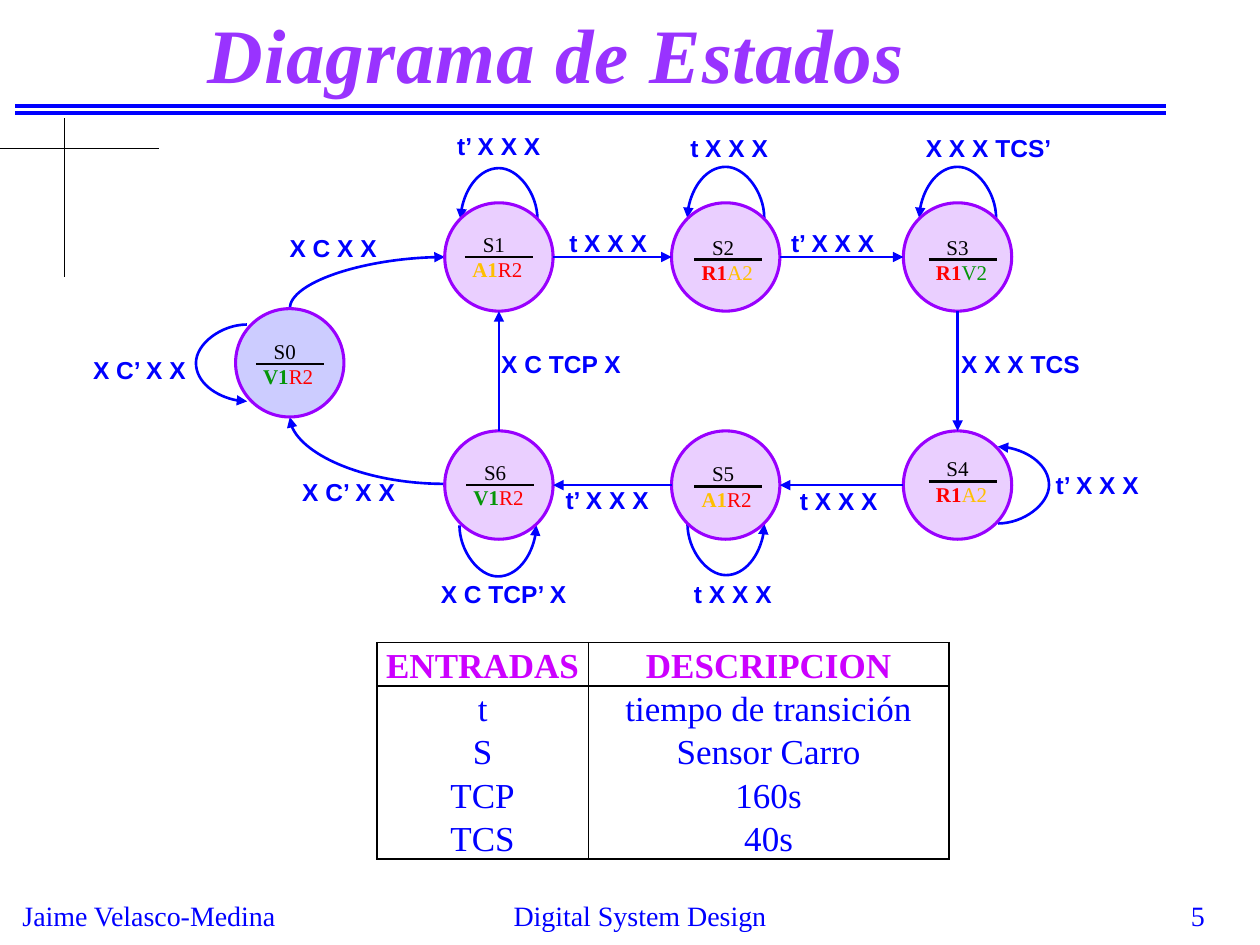
from lxml import etree
from pptx import Presentation
from pptx.dml.color import RGBColor
from pptx.enum.shapes import MSO_CONNECTOR, MSO_SHAPE
from pptx.enum.text import MSO_ANCHOR, PP_ALIGN
from pptx.oxml.ns import qn
from pptx.util import Emu, Inches, Pt

STRAIGHT, CURVE = MSO_CONNECTOR.STRAIGHT, MSO_CONNECTOR.CURVE
LEFT, CENTER, RIGHT = PP_ALIGN.LEFT, PP_ALIGN.CENTER, PP_ALIGN.RIGHT
SERIF, SANS = "Times New Roman", "Arial"
BLUE, BLACK, PURPLE = "0000FF", "000000", "9900FF"
LILAC, LAVENDER = "EACFFF", "CCCCFF"
LIGHT_COLORS = {"A": "FFC000", "R": "FF0000", "V": "059508"}

# Content: states as name, lights, circle centre, divider left and height, fill
DIAMETER = 0.86
COLUMNS, TOP_ROW, BOTTOM_ROW = (3.96, 5.76, 7.6), 2.04, 3.85
STATES = [
    ("S0", ("V1", "R2"), (2.3, 2.88), (2.03, 2.89), LAVENDER),
    ("S1", ("A1", "R2"), (COLUMNS[0], TOP_ROW), (3.69, 2.04), LILAC),
    ("S2", ("R1", "A2"), (COLUMNS[1], TOP_ROW), (5.51, 2.06), LILAC),
    ("S3", ("R1", "V2"), (COLUMNS[2], TOP_ROW), (7.37, 2.06), LILAC),
    ("S4", ("R1", "A2"), (COLUMNS[2], BOTTOM_ROW), (7.37, 3.82), LILAC),
    ("S5", ("A1", "R2"), (COLUMNS[1], BOTTOM_ROW), (5.51, 3.86), LILAC),
    ("S6", ("V1", "R2"), (COLUMNS[0], BOTTOM_ROW), (3.7, 3.85), LILAC),
]
TRANSITIONS = [("S1", "S2"), ("S2", "S3"), ("S3", "S4"),
               ("S4", "S5"), ("S5", "S6"), ("S6", "S1")]
# Self loops: middle of the chord, rotation
LOOP_SPAN = 0.61
LOOPS = [
    (3.96, 1.74, 270), (5.76, 1.73, 270), (7.6, 1.73, 270),
    (1.96, 2.88, 180), (7.92, 3.85, 0), (5.76, 4.16, 90), (3.95, 4.17, 90),
]
# Quarter curves: unrotated frame, rotation, flipped both ways
QUARTER_CURVES = [
    ((2.3, 3.31, 1.23, 0.53), 180, False),
    ((2.71, 1.63, 0.41, 1.23), 90, True),
]
LABELS = [
    ("X C’ X X", 0.64, 2.77, 1.18), ("X C X X", 2.2, 1.8, 1.13),
    ("t’ X X X", 3.53, 0.99, 0.92), ("t X X X", 4.42, 1.76, 0.86),
    ("t X X X", 5.38, 1.01, 0.89), ("t’ X X X", 6.18, 1.76, 0.95),
    ("X X X TCS’", 7.25, 1.01, 1.33), ("X X X TCS", 7.53, 2.72, 1.35),
    ("t’ X X X", 8.28, 3.68, 1.1), ("t X X X", 6.25, 3.81, 1.02),
    ("t X X X", 5.41, 4.55, 0.86), ("t’ X X X", 4.39, 3.8, 1),
    ("X C TCP’ X", 3.4, 4.55, 1.38), ("X C TCP X", 3.88, 2.72, 1.23),
    ("X C’ X X", 2.3, 3.74, 1.08),
]
INPUTS = [("ENTRADAS", "DESCRIPCION"), ("t", "tiempo de transición"),
          ("S", "Sensor Carro"), ("TCP", "160s"), ("TCS", "40s")]
FOOTERS = [
    ("Jaime Velasco-Medina", (0.08, 7.08, 2.25, 0.37), LEFT),
    ("Digital System Design", (3.33, 7.08, 3.5, 0.33), CENTER),
    ("5", (7.58, 7.08, 2.08, 0.25), RIGHT),
]
# Rules: start, end, colour, width
RULES = [
    ((0.12, 0.84), (9.25, 0.84), BLUE, 2.25),
    ((0.12, 0.9), (9.25, 0.9), BLUE, 2.25),
    ((0, 1.18), (1.26, 1.18), BLACK, 0.75),
    ((0.51, 0.94), (0.51, 2.2), BLACK, 0.75),
]


def rgb(color):
    return RGBColor.from_string(color)


def add_run(paragraph, text, size, color, font=SERIF, bold=False, italic=False):
    run = paragraph.add_run()
    run.text = text
    run.font.name, run.font.size = font, Pt(size)
    run.font.bold, run.font.italic = bold, italic
    run.font.color.rgb = rgb(color)
    return run


def add_text_box(slide, box, align=LEFT, wrap=True):
    frame = slide.shapes.add_textbox(*map(Inches, box)).text_frame
    frame.word_wrap = wrap
    frame.paragraphs[0].alignment = align
    return frame


def add_line(slide, start, end, color, width, arrow=False, kind=STRAIGHT):
    connector = slide.shapes.add_connector(kind, *map(Inches, start + end))
    connector.line.color.rgb = rgb(color)
    connector.line.width = Pt(width)
    properties = connector.element.spPr
    if arrow:
        etree.SubElement(properties.find(qn("a:ln")), qn("a:tailEnd"), type="triangle")
    etree.SubElement(properties, qn("a:effectLst"))
    return connector


def add_curve(slide, box, rotation, flipped, preset, adjustment=None):
    left, top, width, height = box
    connector = add_line(slide, (left, top), (left + width, top + height),
                         BLUE, 1.5, True, CURVE)
    frame = connector.element.spPr.find(qn("a:xfrm"))
    frame.set("rot", str(rotation * 60000))
    if flipped:
        frame.set("flipH", "1")
        frame.set("flipV", "1")
    geometry = connector.element.spPr.find(qn("a:prstGeom"))
    geometry.set("prst", preset)
    if adjustment is not None:
        etree.SubElement(geometry.find(qn("a:avLst")), qn("a:gd"),
                         name="adj1", fmla=f"val {adjustment}")
    return connector


def add_state(slide, name, lights, centre, divider, fill):
    x, y = centre
    circle = slide.shapes.add_shape(
        MSO_SHAPE.OVAL, Inches(x - DIAMETER / 2), Inches(y - DIAMETER / 2),
        Inches(DIAMETER), Inches(DIAMETER))
    circle.shadow.inherit = False
    circle.fill.solid()
    circle.fill.fore_color.rgb = rgb(fill)
    circle.line.color.rgb = rgb(PURPLE)
    circle.line.width = Pt(1.75)
    left, middle = divider
    frame = add_text_box(slide, (left - 0.04, middle - 0.25, 0.64, 0.5))
    heading = frame.paragraphs[0]
    heading._p.get_or_add_pPr().set("marL", str(Pt(6)))
    add_run(heading, name, 12, BLACK)
    outputs = frame.add_paragraph()
    for light, bold in zip(lights, (True, False)):
        add_run(outputs, light, 12, LIGHT_COLORS[light[0]], bold=bold)
    add_line(slide, divider, (left + 0.54, middle), BLACK, 1.5)


def add_transition(slide, start, end):
    (x1, y1), (x2, y2) = start, end
    length = abs(x2 - x1) + abs(y2 - y1)
    dx, dy = (delta / length * DIAMETER / 2 for delta in (x2 - x1, y2 - y1))
    add_line(slide, (x1 + dx, y1 + dy), (x2 - dx, y2 - dy), BLUE, 1.5, True)


def set_borders(cell, sides):
    properties = cell._tc.get_or_add_tcPr()
    for side in "LRTB":
        line = etree.SubElement(properties, qn(f"a:ln{side}"), w=str(Pt(1)))
        if side in sides:
            paint = etree.SubElement(line, qn("a:solidFill"))
            etree.SubElement(paint, qn("a:srgbClr"), val=BLACK)
        else:
            etree.SubElement(line, qn("a:noFill"))


def add_inputs_table(slide):
    box = map(Inches, (2.99, 5.1, 4.54, 1.72))
    table = slide.shapes.add_table(len(INPUTS), 2, *box).table
    table.first_row = table.horz_banding = False
    for column, width in zip(table.columns, (1.68, 2.86)):
        column.width = Inches(width)
    borders = ["LRTB", "LRT", "LR", "LR", "LRB"]
    for row, (texts, sides) in enumerate(zip(INPUTS, borders)):
        for column, text in enumerate(texts):
            cell = table.cell(row, column)
            set_borders(cell, sides)
            cell.fill.background()
            cell.vertical_anchor = MSO_ANCHOR.BOTTOM
            cell.margin_left = cell.margin_right = cell.margin_top = Inches(0.01)
            cell.margin_bottom = 0
            paragraph = cell.text_frame.paragraphs[0]
            paragraph.alignment = CENTER
            add_run(paragraph, text, 20, BLUE if row else "CC00FF", bold=row == 0)


def main():
    presentation = Presentation()
    presentation.slide_width, presentation.slide_height = Inches(10), Inches(7.5)
    slide = presentation.slides.add_slide(presentation.slide_layouts[6])

    # Rules, footers and title
    for rule in RULES:
        add_line(slide, *rule)
    for text, box, align in FOOTERS:
        frame = add_text_box(slide, box, align, wrap=align != LEFT)
        add_run(frame.paragraphs[0], text, 16, BLUE)
    title = add_text_box(slide, (1.52, 0, 5.79, 0.84), CENTER, wrap=False)
    run = add_run(title.paragraphs[0], "Diagrama de Estados", 44, "9933FF",
                  bold=True, italic=True)
    run.font._element.set("spc", "50")

    # State diagram
    for x, y, rotation in LOOPS:
        loop = add_curve(slide, (x, y - LOOP_SPAN / 2, 0, LOOP_SPAN), rotation,
                         True, "curvedConnector3", -25700000)
        loop.width = Emu(1588)  # the bulge is a multiple of this width
    for box, rotation, flipped in QUARTER_CURVES:
        add_curve(slide, box, rotation, flipped, "curvedConnector2")
    for state in STATES:
        add_state(slide, *state)
    centres = {name: centre for name, _, centre, _, _ in STATES}
    for start, end in TRANSITIONS:
        add_transition(slide, centres[start], centres[end])
    for text, left, top, width in LABELS:
        frame = add_text_box(slide, (left, top, width, 0.34))
        add_run(frame.paragraphs[0], text, 14, BLUE, SANS, bold=True)

    add_inputs_table(slide)
    presentation.save("out.pptx")


if __name__ == "__main__":
    main()
